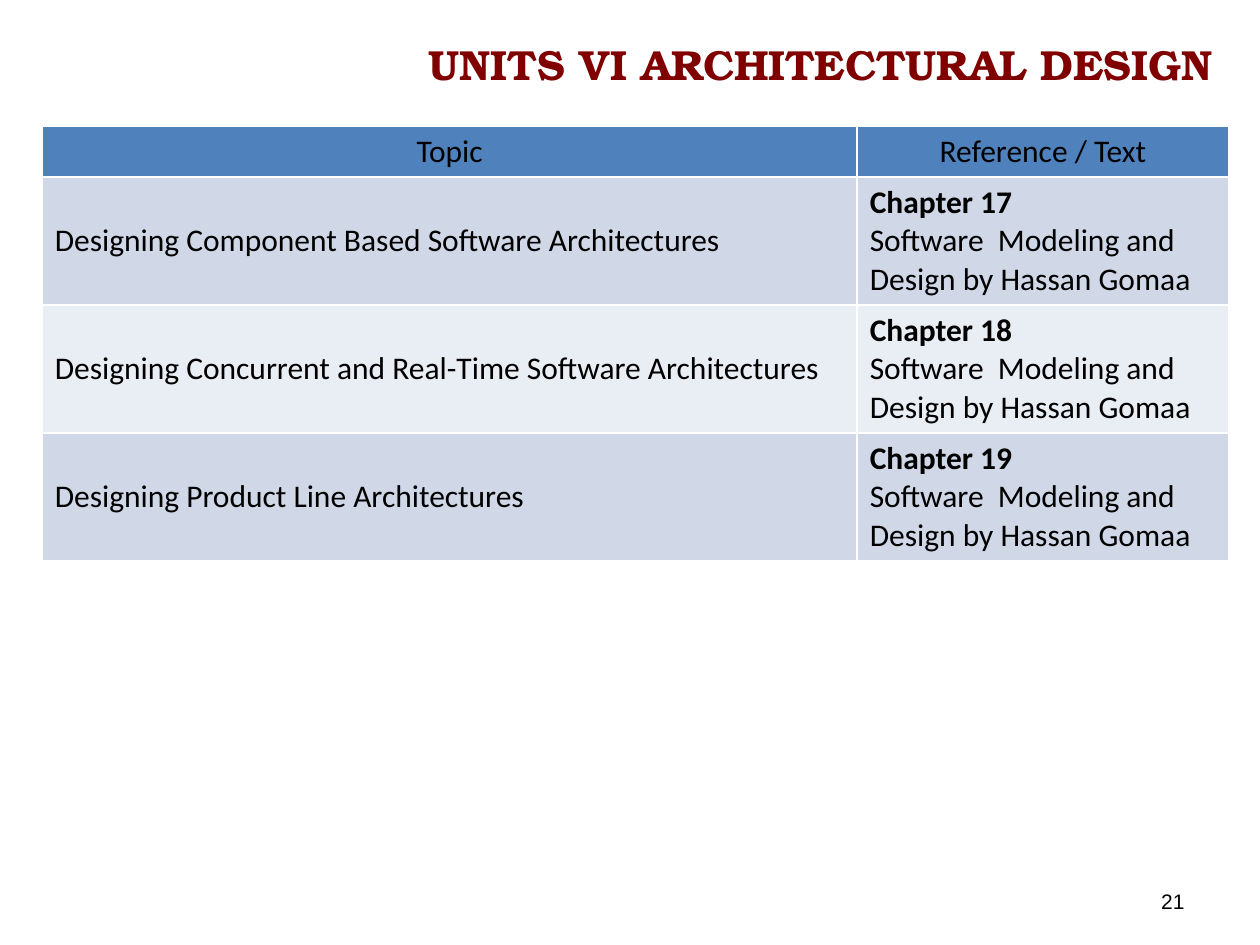
"""Build the reading list slide for the architectural design unit."""
from lxml import etree
from pptx import Presentation
from pptx.dml.color import RGBColor
from pptx.enum.text import MSO_ANCHOR, MSO_AUTO_SIZE, PP_ALIGN
from pptx.oxml.ns import qn
from pptx.util import Cm, Pt

LEFT, CENTER, RIGHT = PP_ALIGN.LEFT, PP_ALIGN.CENTER, PP_ALIGN.RIGHT
TOP, MIDDLE = MSO_ANCHOR.TOP, MSO_ANCHOR.MIDDLE
NO_AUTOFIT = MSO_AUTO_SIZE.NONE

TITLE = "UNITS VI ARCHITECTURAL DESIGN"
PAGE_NUMBER = "21"
HEADINGS = ["Topic", "Reference / Text"]
BOOK = "Software  Modeling and Design by Hassan Gomaa"
TOPICS = [
    ("Designing Component Based Software Architectures", "Chapter 17"),
    ("Designing Concurrent and Real-Time Software Architectures", "Chapter 18"),
    ("Designing Product Line Architectures", "Chapter 19"),
]
COLUMN_WIDTHS = [Cm(16.43), Cm(7.49)]
HEADER_HEIGHT, TOPIC_HEIGHT = Cm(1.03), Cm(2.54)
HEADER_FILL, BANDS = "4F81BD", ["D0D8E8", "E9EDF4"]
BLACK, WHITE, MAROON = "000000", "FFFFFF", "800000"


def color(value):
    """Turn a hex string into a colour."""
    return RGBColor.from_string(value)


def write(frame, *lines, size=18, font="Calibri", ink=BLACK, align=LEFT, bold_lines=0):
    """Write lines as paragraphs, the first bold_lines of them bold."""
    for index, line in enumerate(lines):
        para = frame.add_paragraph() if index else frame.paragraphs[0]
        para.alignment = align
        span = para.add_run()
        span.text = line
        span.font.size = Pt(size)
        span.font.name = font
        span.font.bold = index < bold_lines
        span.font.color.rgb = color(ink)


def paint(cell, fill):
    """Fill a cell and give it thin white borders."""
    cell.vertical_anchor = MIDDLE
    cell.fill.solid()
    cell.fill.fore_color.rgb = color(fill)
    properties = cell._tc.get_or_add_tcPr()
    for index, side in enumerate(["lnL", "lnR", "lnT", "lnB"]):
        border = etree.Element(qn(f"a:{side}"), w=str(Pt(1)))
        solid = etree.SubElement(border, qn("a:solidFill"))
        etree.SubElement(solid, qn("a:srgbClr"), val=WHITE)
        properties.insert(index, border)


def add_title(page):
    """Place and format the title."""
    title = page.shapes.title
    title.left, title.top, title.width, title.height = Cm(0.61), Cm(0.64), Cm(24.36), Cm(1.3)
    frame = title.text_frame
    frame.auto_size = NO_AUTOFIT
    frame.vertical_anchor = TOP
    frame.margin_right = Cm(0.53)
    write(frame, TITLE, size=24, font="TeX Gyre Bonum", ink=MAROON, align=RIGHT, bold_lines=1)


def add_topics(page):
    """Add the table of topics and their chapters."""
    rows = len(TOPICS) + 1
    height = HEADER_HEIGHT + TOPIC_HEIGHT * len(TOPICS)
    table = page.shapes.add_table(
        rows, len(HEADINGS), Cm(0.85), Cm(2.54), sum(COLUMN_WIDTHS), height).table
    for column, width in zip(table.columns, COLUMN_WIDTHS):
        column.width = width
    for index, row in enumerate(table.rows):
        row.height = TOPIC_HEIGHT if index else HEADER_HEIGHT
        for cell in row.cells:
            paint(cell, BANDS[(index - 1) % 2] if index else HEADER_FILL)
    for cell, heading in zip(table.rows[0].cells, HEADINGS):
        write(cell.text_frame, heading, align=CENTER)
    for index, (topic, chapter) in enumerate(TOPICS, start=1):
        write(table.cell(index, 0).text_frame, topic)
        write(table.cell(index, 1).text_frame, chapter, BOOK, bold_lines=1)


def add_page_number(page):
    """Add the page number at the bottom right."""
    box = page.shapes.add_textbox(Cm(18.21), Cm(17.65), Cm(5.92), Cm(1.02))
    frame = box.text_frame
    frame.word_wrap = True
    frame.vertical_anchor = MIDDLE
    write(frame, PAGE_NUMBER, size=12, font="Arial", align=RIGHT)


deck = Presentation()
deck.slide_width, deck.slide_height = Cm(25.4), Cm(19.05)
page = deck.slides.add_slide(deck.slide_layouts.get_by_name("Title Only"))
add_title(page)
add_topics(page)
add_page_number(page)
deck.save("out.pptx")
